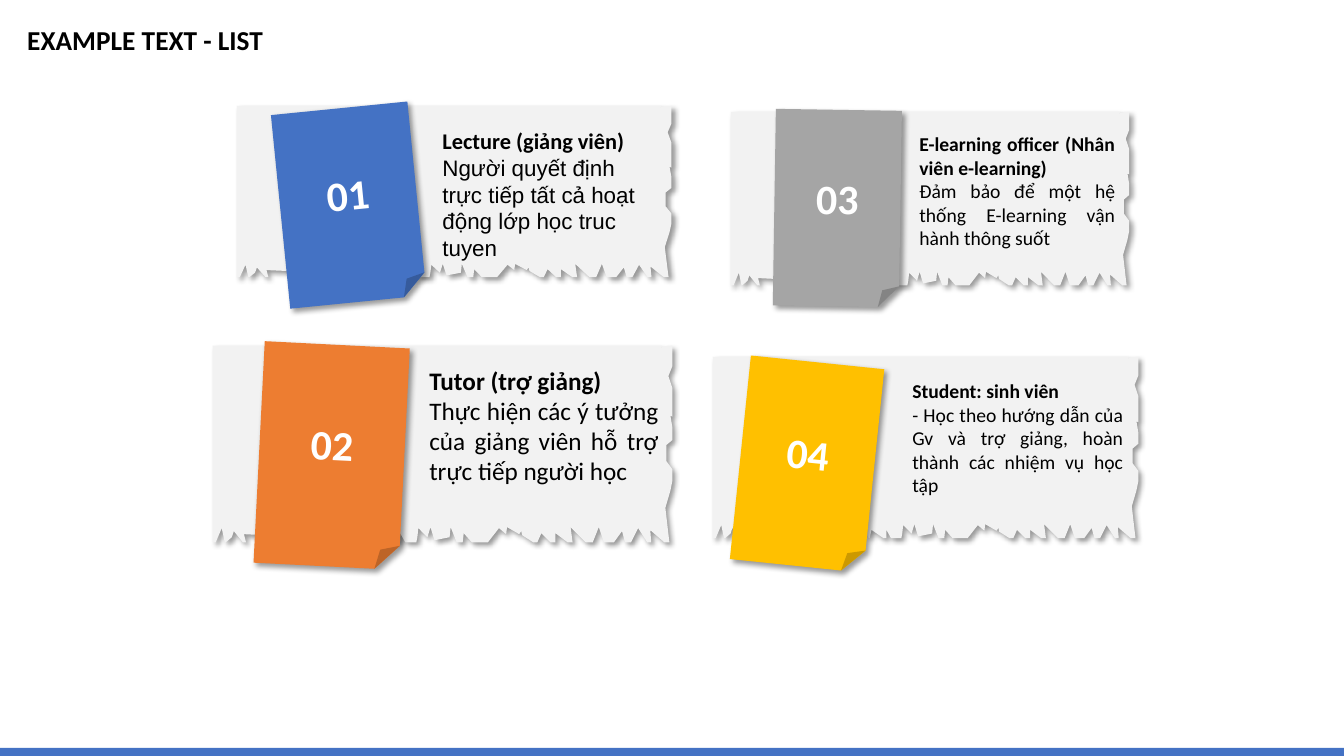
from lxml.etree import SubElement
from pptx import Presentation
from pptx.dml.color import RGBColor
from pptx.enum.shapes import MSO_SHAPE
from pptx.enum.text import MSO_ANCHOR, MSO_AUTO_SIZE, PP_ALIGN
from pptx.oxml.ns import qn
from pptx.util import Inches, Pt

COLORS = {
    "text": "000000", "white": "FFFFFF", "paper": "F2F2F2", "shadow": "000000",
    "blue": "4472C4", "orange": "ED7D31", "gray": "A5A5A5", "gold": "FFC000",
}

# Torn paper outline, on a grid of TORN_WIDTH by TORN_HEIGHT units
TORN_WIDTH, TORN_HEIGHT = 456, 194
TORN_EDGE = [
    (446, 0), (444, 2), (451, 0), (456, 0), (456, 20), (452, 30), (456, 42),
    (456, 70), (454, 69), (456, 81), (456, 93), (450, 98), (450, 114),
    (456, 122), (456, 133), (454, 143), (449, 160), (453, 194), (448, 194),
    (434, 182), (435, 194), (431, 194), (422, 180), (415, 194), (409, 194),
    (406, 183), (398, 194), (388, 194), (383, 179), (377, 194), (370, 194),
    (355, 179), (357, 194), (352, 194), (340, 185), (340, 194), (335, 194),
    (326, 185), (322, 194), (318, 194), (307, 187), (306, 183), (304, 186),
    (292, 179), (291, 186), (284, 180), (273, 194), (257, 194), (249, 185),
    (248, 194), (242, 194), (236, 179), (235, 189), (220, 192), (216, 179),
    (213, 189), (204, 180), (203, 189), (202, 194), (191, 194), (186, 185),
    (186, 194), (183, 194), (170, 185), (168, 194), (167, 194), (158, 176),
    (151, 188), (149, 194), (140, 194), (137, 188), (123, 183), (116, 194),
    (115, 194), (110, 186), (104, 194), (102, 194), (95, 183), (77, 182),
    (73, 179), (52, 187), (31, 186), (33, 194), (30, 194), (21, 183),
    (19, 189), (13, 194), (12, 194), (9, 180), (3, 194), (0, 194),
]

# Boxes are left, top, width, height in inches
CARDS = [
    dict(number="01", color="blue", paper=(2.35, 1.05, 4.31, 1.7),
         note=(2.78, 1.07, 1.36, 1.93), angle=354.3,
         box=(4.29, 1.21, 2.34, 1.45), size=16, body_font="Arial", align=PP_ALIGN.LEFT,
         heading="Lecture (giảng viên)",
         body="Người quyết định trực tiếp tất cả hoạt động lớp học truc tuyen"),
    dict(number="02", color="orange", paper=(2.11, 3.43, 4.56, 1.95),
         note=(2.57, 3.42, 1.44, 2.2), angle=2.9,
         box=(4.16, 3.57, 2.47, 1.31), size=18,
         heading="Tutor (trợ giảng)",
         body="Thực hiện các ý tưởng của giảng viên hỗ trợ trực tiếp người học"),
    dict(number="03", color="gray", paper=(7.25, 1.11, 3.95, 1.72),
         note=(7.68, 1.09, 1.25, 1.95), angle=0.9,
         box=(9.02, 1.26, 2.14, 1.28), size=14,
         heading="E-learning officer (Nhân viên e-learning)",
         body="Đảm bảo để một hệ thống E-learning vận hành thông suốt"),
    dict(number="04", color="gold", paper=(7.07, 3.54, 4.22, 1.8),
         note=(7.34, 3.59, 1.33, 2.03), angle=5.9,
         box=(8.95, 3.71, 2.29, 1.28), size=14,
         heading="Student: sinh viên",
         body="- Học theo hướng dẫn của Gv và trợ giảng, hoàn thành các nhiệm vụ học tập"),
]


def inches(box):
    return [Inches(length) for length in box]


def write(paragraph, text, size, font="Calibri", color="text", bold=False,
          align=PP_ALIGN.LEFT, line_spacing=None):
    paragraph.alignment = align
    paragraph.line_spacing = line_spacing
    run = paragraph.add_run()
    run.text = text
    run.font.name = font
    run.font.size = Pt(size)
    run.font.bold = bold
    run.font.color.rgb = RGBColor.from_string(COLORS[color])


class SlideBuilder:
    def __init__(self, slide, font="Calibri"):
        self.slide = slide
        self.font = font

    def paint(self, shape, color, shadow=False):
        shape.fill.solid()
        shape.fill.fore_color.rgb = RGBColor.from_string(COLORS[color])
        shape.line.fill.background()
        shape.shadow.inherit = False
        if shadow:
            effects = shape._element.spPr.find(qn("a:effectLst"))
            outer = SubElement(effects, qn("a:outerShdw"), blurRad=str(Pt(4)),
                               dist=str(Pt(3)), dir=str(45 * 60000),
                               algn="tl", rotWithShape="0")
            shade = SubElement(outer, qn("a:srgbClr"), val=COLORS["shadow"])
            SubElement(shade, qn("a:alpha"), val="40000")

    def title(self, text, box):
        title = self.slide.shapes.title
        title.left, title.top, title.width, title.height = inches(box)
        frame = title.text_frame
        frame.vertical_anchor = MSO_ANCHOR.MIDDLE
        frame.auto_size = MSO_AUTO_SIZE.NONE
        write(frame.paragraphs[0], text, 19.5, self.font, bold=True, line_spacing=0.9)

    def bar(self, box, color):
        bar = self.slide.shapes.add_shape(MSO_SHAPE.RECTANGLE, *inches(box))
        self.paint(bar, color)

    def torn_paper(self, shapes, box):
        left, top, width, height = inches(box)
        builder = shapes.build_freeform(
            0, 0, scale=(width / TORN_WIDTH, height / TORN_HEIGHT))
        builder.add_line_segments(TORN_EDGE, close=True)
        self.paint(builder.convert_to_shape(left, top), "paper", shadow=True)

    def note(self, shapes, box, number, color, angle):
        note = shapes.add_shape(MSO_SHAPE.FOLDED_CORNER, *inches(box))
        note.rotation = angle
        self.paint(note, color, shadow=True)
        note.text_frame.vertical_anchor = MSO_ANCHOR.MIDDLE
        write(note.text_frame.paragraphs[0], number, 30, self.font, "white",
              bold=True, align=PP_ALIGN.CENTER)

    def description(self, shapes, box, heading, body, size, body_font, align):
        frame = shapes.add_textbox(*inches(box)).text_frame
        frame.word_wrap = True
        frame.auto_size = MSO_AUTO_SIZE.SHAPE_TO_FIT_TEXT
        write(frame.paragraphs[0], heading, size, self.font, bold=True, align=align)
        write(frame.add_paragraph(), body, size, body_font or self.font, align=align)

    def card(self, number, color, paper, note, angle, box, heading, body, size,
             body_font=None, align=PP_ALIGN.JUSTIFY):
        shapes = self.slide.shapes.add_group_shape().shapes
        self.torn_paper(shapes, paper)
        self.note(shapes, note, number, color, angle)
        self.description(shapes, box, heading, body, size, body_font, align)


def main():
    presentation = Presentation()
    presentation.slide_width = Inches(13.33)
    presentation.slide_height = Inches(7.5)
    title_only = presentation.slide_layouts[5]
    builder = SlideBuilder(presentation.slides.add_slide(title_only))
    builder.bar((0, 7.42, 13.33, 0.08), "blue")
    builder.title("EXAMPLE TEXT - LIST", (0.17, 0.17, 11.5, 0.48))
    for card in CARDS:
        builder.card(**card)
    presentation.save("out.pptx")


if __name__ == "__main__":
    main()
